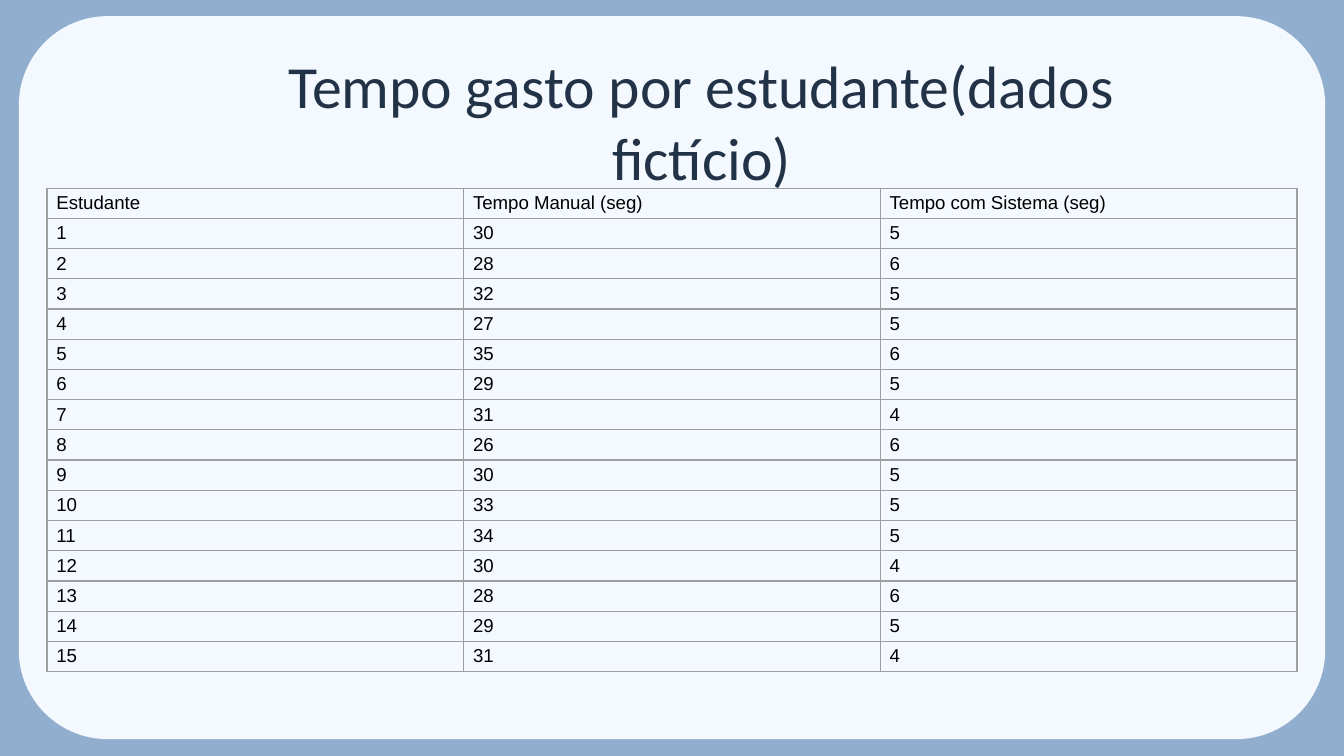
from lxml import etree
from pptx import Presentation
from pptx.dml.color import RGBColor
from pptx.enum.shapes import MSO_SHAPE
from pptx.enum.text import MSO_ANCHOR, MSO_AUTO_SIZE, PP_ALIGN
from pptx.oxml.ns import qn
from pptx.util import Inches, Pt

ROUNDED_RECTANGLE = MSO_SHAPE.ROUNDED_RECTANGLE
BOTTOM, MIDDLE = MSO_ANCHOR.BOTTOM, MSO_ANCHOR.MIDDLE
NO_AUTOFIT = MSO_AUTO_SIZE.NONE
CENTER, LEFT = PP_ALIGN.CENTER, PP_ALIGN.LEFT
TITLE_ONLY = 5

SLIDE_WIDTH = Inches(10)
SLIDE_HEIGHT = SLIDE_WIDTH * 9 // 16

BACKGROUND = RGBColor(0x92, 0xAE, 0xCE)
PANEL = RGBColor(0xF4, 0xF9, 0xFF)
TITLE_COLOR = RGBColor(0x23, 0x33, 0x47)
BLACK = RGBColor(0, 0, 0)
BORDER = RGBColor(0x9E, 0x9E, 0x9E)
BORDER_WIDTH = Pt(0.75)

TITLE = "Tempo gasto por estudante(dados fictício)"
HEADERS = ("Estudante", "Tempo Manual (seg)", "Tempo com Sistema (seg)")
MANUAL_TIMES = (30, 28, 32, 27, 35, 29, 31, 26, 30, 33, 34, 30, 28, 29, 31)
SYSTEM_TIMES = (5, 6, 5, 5, 6, 5, 4, 6, 5, 5, 5, 4, 6, 5, 4)


def set_attributes(target, values):
    for name, value in values.items():
        setattr(target, name, value)


def format_text(text_frame, font_name, size, color, alignment):
    paragraph = text_frame.paragraphs[0]
    paragraph.alignment = alignment
    set_attributes(paragraph.font, {"name": font_name, "size": Pt(size), "bold": False})
    paragraph.font.color.rgb = color


def add_panel(slide):
    """Draw the rounded panel behind everything else on the slide."""
    panel = slide.shapes.add_shape(
        ROUNDED_RECTANGLE, Inches(0.14), Inches(0.12), Inches(9.72), Inches(5.38))
    panel.adjustments[0] = 0.123
    panel.shadow.inherit = False
    panel.fill.solid()
    panel.fill.fore_color.rgb = PANEL
    panel.line.fill.background()
    slide.shapes.element.insert(2, panel.element)


def format_title(slide):
    title = slide.shapes.title
    set_attributes(title, {"left": Inches(1.7), "top": Inches(0.83),
                           "width": Inches(7.04), "height": Inches(0.7)})
    text_frame = title.text_frame
    text_frame.text = TITLE
    margins = {f"margin_{side}": Inches(0.1) for side in ("left", "top", "right", "bottom")}
    set_attributes(text_frame, {"word_wrap": True, "auto_size": NO_AUTOFIT,
                                "vertical_anchor": BOTTOM, **margins})
    format_text(text_frame, "Calibri", 32, TITLE_COLOR, CENTER)


def add_borders(cell):
    """Insert the four side lines ahead of the cell's fill, as the schema requires."""
    properties = cell._tc.get_or_add_tcPr()
    for index, tag in enumerate(("a:lnL", "a:lnR", "a:lnT", "a:lnB")):
        line = etree.Element(qn(tag), w=str(BORDER_WIDTH))
        fill = etree.SubElement(line, qn("a:solidFill"))
        etree.SubElement(fill, qn("a:srgbClr"), val=str(BORDER))
        properties.insert(index, line)


def format_cell(cell, text):
    cell.text = str(text)
    set_attributes(cell, {"vertical_anchor": MIDDLE,
                          "margin_left": Inches(0.07), "margin_right": Inches(0.07),
                          "margin_top": Inches(0.03), "margin_bottom": Inches(0.03)})
    cell.fill.background()
    add_borders(cell)
    format_text(cell.text_frame, "Arial", 10, BLACK, LEFT)


def add_times_table(slide):
    students = range(1, len(MANUAL_TIMES) + 1)
    rows = [HEADERS, *zip(students, MANUAL_TIMES, SYSTEM_TIMES)]
    table = slide.shapes.add_table(
        len(rows), len(HEADERS), Inches(0.35), Inches(1.4), Inches(9.3), Inches(3.6)).table
    set_attributes(table, {"first_row": False, "horz_banding": False})
    for row_index, values in enumerate(rows):
        for column_index, value in enumerate(values):
            format_cell(table.cell(row_index, column_index), value)


def main():
    presentation = Presentation()
    set_attributes(presentation, {"slide_width": SLIDE_WIDTH, "slide_height": SLIDE_HEIGHT})
    slide = presentation.slides.add_slide(presentation.slide_layouts[TITLE_ONLY])
    slide.background.fill.solid()
    slide.background.fill.fore_color.rgb = BACKGROUND
    add_panel(slide)
    format_title(slide)
    add_times_table(slide)
    presentation.save("out.pptx")


if __name__ == "__main__":
    main()
